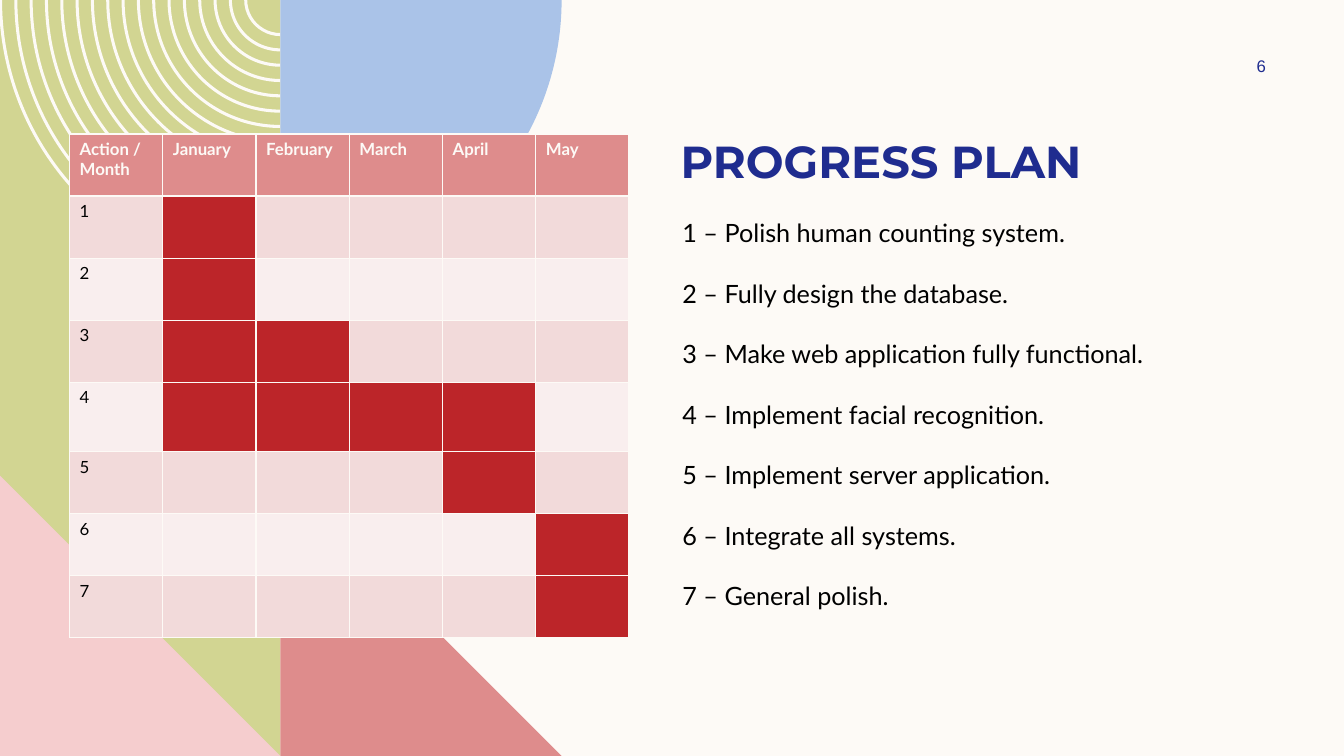
from pptx import Presentation
from pptx.dml.color import RGBColor
from pptx.enum.shapes import MSO_SHAPE
from pptx.enum.text import MSO_ANCHOR, PP_ALIGN
from pptx.oxml import parse_xml
from pptx.oxml.ns import nsdecls, qn
from pptx.util import Inches, Pt

WIDTH, HEIGHT = 13.33, 7.5
TILE = 2.79
CREAM, OLIVE, SKY, ROSE, BLUSH = "FDFAF6", "D2D592", "AAC3E8", "DE8C8C", "F5CDCE"
NAVY, BLACK, RED = "1F2C8F", "000000", "BC2529"
BANDS = ["F2DADA", "F9EEEE"]

MONTHS = ["January", "February", "March", "April", "May"]
ACTIONS = [
    ("Polish human counting system.", ["January"]),
    ("Fully design the database.", ["January"]),
    ("Make web application fully functional.", ["January", "February"]),
    ("Implement facial recognition.", ["January", "February", "March", "April"]),
    ("Implement server application.", ["April"]),
    ("Integrate all systems.", ["May"]),
    ("General polish.", ["May"]),
]
TALL_ROW, TALL_HEIGHT = 4, 0.69


def paint(fill, color):
    fill.solid()
    fill.fore_color.rgb = RGBColor.from_string(color)


def finish(shape, color):
    paint(shape.fill, color)
    shape.line.fill.background()
    shape.shadow.inherit = False


def set_font(para, name, size, color, bold=False):
    para.font.name = name
    para.font.size = Pt(size)
    para.font.bold = bold
    para.font.color.rgb = RGBColor.from_string(color)


def add_preset(page, kind, box, color):
    finish(page.shapes.add_shape(kind, *map(Inches, box)), color)


def add_curved(page, corners, arcs, color):
    points = [(Inches(x), Inches(y)) for x, y in corners]
    builder = page.shapes.build_freeform(*points[0])
    builder.add_line_segments(points[1:], close=True)
    shape = builder.convert_to_shape()
    segments = list(shape._element.iter(qn("a:lnTo")))
    for index, (radius, start, sweep) in arcs.items():
        segment = segments[index]
        size = Inches(radius)
        segment.getparent().replace(segment, parse_xml(
            f'<a:arcTo {nsdecls("a")} wR="{size}" hR="{size}" '
            f'stAng="{start * 60000}" swAng="{sweep * 60000}"/>'))
    finish(shape, color)


def add_decoration(page, box):
    left, top, width, height = box
    middle = left + width / 2
    low = top + height - TILE
    add_preset(page, MSO_SHAPE.RECTANGLE, (left, top, TILE, height), OLIVE)
    for ring in range(17):
        outer = TILE - 0.152 * ring
        inner = outer - 0.03
        corners = [(middle - outer, top), (middle, top + outer),
                   (middle, top + inner), (middle - inner, top)]
        add_curved(page, corners, {0: (outer, 180, -90), 2: (inner, 90, 90)}, CREAM)
    corners = [(middle + TILE, top), (middle, top + TILE), (middle, top)]
    add_curved(page, corners, {0: (TILE, 0, 90)}, SKY)
    for x, color in ((middle, ROSE), (left, BLUSH)):
        add_preset(page, MSO_SHAPE.RIGHT_TRIANGLE, (x, low, TILE, TILE), color)


def add_text(page, box, lines, font, margins=(0.1, 0.05), gap=0,
             align=PP_ALIGN.LEFT, anchor=MSO_ANCHOR.TOP):
    frame = page.shapes.add_textbox(*map(Inches, box)).text_frame
    frame.word_wrap = True
    frame.vertical_anchor = anchor
    frame.margin_left = frame.margin_right = Inches(margins[0])
    frame.margin_top = frame.margin_bottom = Inches(margins[1])
    for index, line in enumerate(lines):
        para = frame.add_paragraph() if index else frame.paragraphs[0]
        para.text = line
        para.alignment = align
        para.space_after = Pt(gap)
        set_font(para, *font)


def add_borders(cell):
    properties = cell._tc.get_or_add_tcPr()
    for side in ("lnL", "lnR", "lnT", "lnB"):
        properties.append(parse_xml(
            f'<a:{side} {nsdecls("a")} w="12700"><a:solidFill>'
            f'<a:srgbClr val="{CREAM}"/></a:solidFill></a:{side}>'))


def fill_cell(cell, color, label="", ink=BLACK, bold=False):
    add_borders(cell)
    paint(cell.fill, color)
    if label:
        cell.text = label
        set_font(cell.text_frame.paragraphs[0], "Lato", 12, ink, bold)


def add_schedule(page, box):
    row_count, column_count = len(ACTIONS) + 1, len(MONTHS) + 1
    table = page.shapes.add_table(row_count, column_count, *map(Inches, box)).table
    for column in table.columns:
        column.width = Inches(box[2] / column_count)
    regular = (box[3] - TALL_HEIGHT) / (row_count - 1)
    for index, row in enumerate(table.rows):
        row.height = Inches(TALL_HEIGHT if index == TALL_ROW else regular)
    for index, label in enumerate(["Action / Month"] + MONTHS):
        fill_cell(table.cell(0, index), ROSE, label, CREAM, True)
    for number, (_, active) in enumerate(ACTIONS, 1):
        band = BANDS[(number - 1) % 2]
        fill_cell(table.cell(number, 0), band, str(number))
        for column, month in enumerate(MONTHS, 1):
            fill_cell(table.cell(number, column), RED if month in active else band)


def add_plan(page, box):
    left, top, width, height = box
    add_text(page, (left, top, width, 0.84), ["PROGRESS PLAN"],
             ("Montserrat", 32, NAVY, True), margins=(0, 0))
    lines = [f"{number} – {action}" for number, (action, _) in enumerate(ACTIONS, 1)]
    add_text(page, (left - 0.08, top + 0.78, width + 0.16, height - 0.78), lines,
             ("Lato", 18, BLACK), gap=21.6)


def main():
    deck = Presentation()
    deck.slide_width, deck.slide_height = Inches(WIDTH), Inches(HEIGHT)
    page = deck.slides.add_slide(deck.slide_layouts[6])
    paint(page.background.fill, CREAM)
    add_decoration(page, (-0.01, 0, 2 * TILE, HEIGHT))
    add_text(page, (11.97, 0.5, 1.08, 0.3), ["6"], ("Arial", 12, NAVY),
             align=PP_ALIGN.CENTER, anchor=MSO_ANCHOR.MIDDLE)
    add_schedule(page, (0.69, 1.33, 5.55, 5))
    add_plan(page, (6.75, 1.33, 5.66, 4.82))
    deck.save("out.pptx")


if __name__ == "__main__":
    main()
